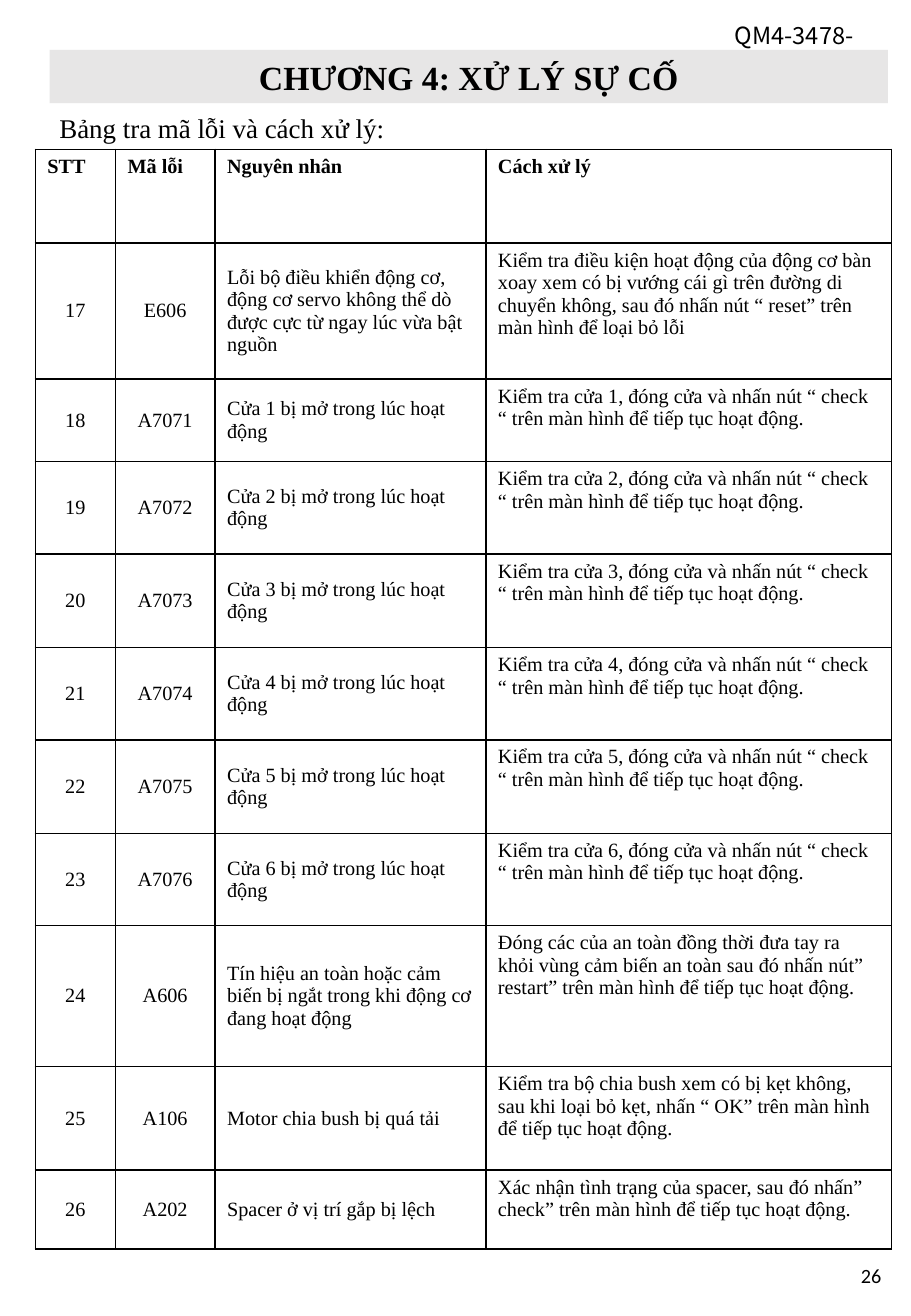
from lxml import etree
from pptx import Presentation
from pptx.dml.color import RGBColor
from pptx.enum.shapes import MSO_SHAPE
from pptx.enum.text import MSO_ANCHOR, PP_ALIGN
from pptx.oxml.ns import qn
from pptx.util import Inches, Pt

LEFT, CENTER = PP_ALIGN.LEFT, PP_ALIGN.CENTER
TOP, MIDDLE = MSO_ANCHOR.TOP, MSO_ANCHOR.MIDDLE
SERIF = "Times New Roman"
BLACK, WHITE, BAND = "000000", "FFFFFF", "E7E6E6"

# Content
DOC_CODE = "QM4-3478-"
TITLE = "CHƯƠNG 4: XỬ LÝ SỰ CỐ"
SUBTITLE = "Bảng tra mã lỗi và cách xử lý:"
PAGE = "26"
HEADER = ("STT", "Mã lỗi", "Nguyên nhân", "Cách xử lý")
DOORS = [
    (f"A707{n}", f"Cửa {n} bị mở trong lúc hoạt động",
     f"Kiểm tra cửa {n}, đóng cửa và nhấn nút “ check “ trên màn hình để tiếp tục hoạt động.")
    for n in range(1, 7)
]
ERRORS = [
    ("E606",
     "Lỗi bộ điều khiển động cơ, động cơ servo không thể dò được cực từ ngay lúc vừa bật nguồn",
     "Kiểm tra điều kiện hoạt động của động cơ bàn xoay xem có bị vướng cái gì trên đường "
     "di chuyển không, sau đó nhấn nút “ reset” trên màn hình để loại bỏ lỗi"),
    *DOORS,
    ("A606",
     "Tín hiệu an toàn hoặc cảm biến bị ngắt trong khi động cơ đang hoạt động",
     "Đóng các của an toàn đồng thời đưa tay ra khỏi vùng cảm biến an toàn sau đó nhấn nút” "
     "restart” trên màn hình để tiếp tục hoạt động."),
    ("A106", "Motor chia bush bị quá tải",
     "Kiểm tra bộ chia bush xem có bị kẹt không, sau khi loại bỏ kẹt, nhấn “ OK” "
     "trên màn hình để tiếp tục hoạt động."),
    ("A202", "Spacer ở vị trí gắp bị lệch",
     "Xác nhận tình trạng của spacer, sau đó nhấn” check” trên màn hình để tiếp tục hoạt động."),
]
FIRST_NO = 17
COLS = (0.66, 0.82, 2.23, 3.34)
ROWS = (0.77, 1.12, 0.68, 0.76, 0.77, 0.76, 0.77, 0.76, 1.16, 0.85, 0.65)


def color(value):
    return RGBColor.from_string(value)


def write(tf, text, size=12, font=SERIF, bold=False, align=LEFT):
    tf.word_wrap = True
    p = tf.paragraphs[0]
    p.alignment = align
    r = p.add_run()
    r.text = text
    r.font.size, r.font.name, r.font.bold = Pt(size), font, bold
    r.font.color.rgb = color(BLACK)
    for tag in ("a:ea", "a:cs"):
        etree.SubElement(r.font._element, qn(tag), typeface=font)


def add_label(box, text, **fmt):
    sp = slide.shapes.add_textbox(*map(Inches, box))
    write(sp.text_frame, text, **fmt)


def add_borders(cell, width=1):
    props = cell._tc.get_or_add_tcPr()
    for i, side in enumerate(("a:lnL", "a:lnR", "a:lnT", "a:lnB")):
        ln = etree.Element(qn(side), w=str(Pt(width)))
        fill = etree.SubElement(ln, qn("a:solidFill"))
        etree.SubElement(fill, qn("a:srgbClr"), val=BLACK)
        props.insert(i, ln)


prs = Presentation()
prs.slide_width, prs.slide_height = Inches(7.5), Inches(10.83)
slide = prs.slides.add_slide(prs.slide_layouts[6])

# Document code and subtitle
add_label((5.95, 0.12, 1.42, 0.34), DOC_CODE, size=14, font="Noto Sans CJK JP")
add_label((0.39, 0.87, 4.22, 0.37), SUBTITLE, size=16)

# Error table
lines = [HEADER] + [(str(no), *error) for no, error in enumerate(ERRORS, FIRST_NO)]
frame = slide.shapes.add_table(len(ROWS), len(COLS), Inches(0.29), Inches(1.23),
                               Inches(sum(COLS)), Inches(sum(ROWS)))
table = frame.table
for column, width in zip(table.columns, COLS):
    column.width = Inches(width)
for i, (height, line) in enumerate(zip(ROWS, lines)):
    table.rows[i].height = Inches(height)
    for j, text in enumerate(line):
        cell = table.cell(i, j)
        cell.fill.solid()
        cell.fill.fore_color.rgb = color(WHITE)
        cell.vertical_anchor = MIDDLE if i > 0 and j < 3 else TOP
        write(cell.text_frame, text, bold=i == 0, align=CENTER if i > 0 and j < 2 else LEFT)
        add_borders(cell)

# Page number
add_label((6.99, 10.35, 0.53, 0.48), PAGE, font="Calibri")

# Title band
band = slide.shapes.add_shape(MSO_SHAPE.RECTANGLE, *map(Inches, (0.41, 0.41, 6.9, 0.44)))
band.shadow.inherit = False
band.fill.solid()
band.fill.fore_color.rgb = color(BAND)
band.line.fill.background()
band.text_frame.vertical_anchor = MIDDLE
write(band.text_frame, TITLE, size=20, bold=True, align=CENTER)

prs.save("out.pptx")
